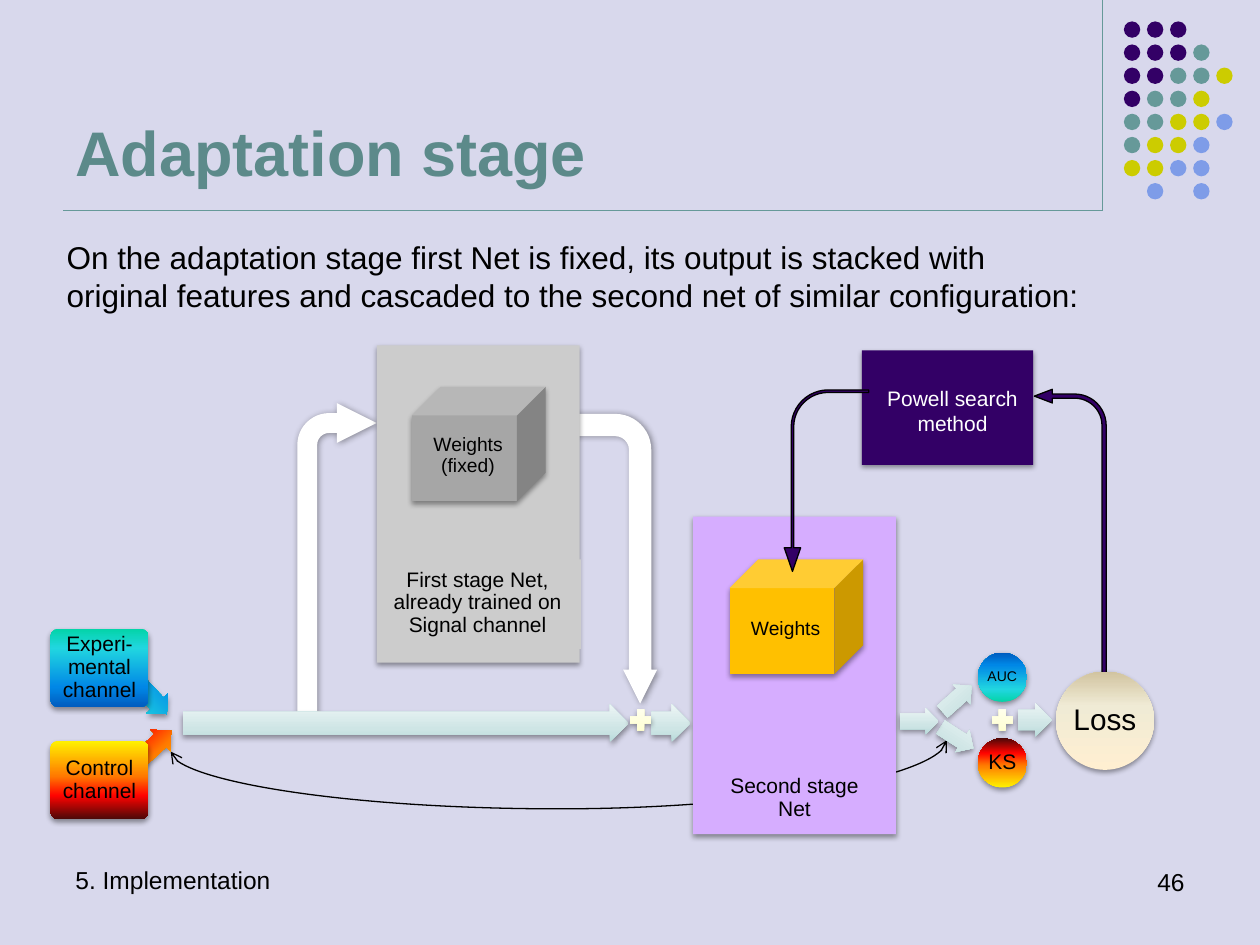
from dataclasses import dataclass

from lxml import etree
from pptx import Presentation
from pptx.dml.color import RGBColor
from pptx.enum.shapes import MSO_CONNECTOR, MSO_SHAPE
from pptx.enum.text import MSO_ANCHOR, PP_ALIGN
from pptx.oxml.ns import qn
from pptx.util import Inches, Pt

LINE, CURVE = MSO_CONNECTOR.STRAIGHT, MSO_CONNECTOR.CURVE
RECT, ROUND, OVAL = MSO_SHAPE.RECTANGLE, MSO_SHAPE.ROUNDED_RECTANGLE, MSO_SHAPE.OVAL
CUBE, PLUS, BENT = MSO_SHAPE.CUBE, MSO_SHAPE.MATH_PLUS, MSO_SHAPE.BENT_ARROW
RIGHT, LEFT = MSO_SHAPE.RIGHT_ARROW, MSO_SHAPE.LEFT_ARROW
TOP, MIDDLE, BOTTOM = MSO_ANCHOR.TOP, MSO_ANCHOR.MIDDLE, MSO_ANCHOR.BOTTOM
START, CENTER, END = PP_ALIGN.LEFT, PP_ALIGN.CENTER, PP_ALIGN.RIGHT


@dataclass(frozen=True)
class Theme:
    font: str = "Arial"
    back: str = "D8D8EC"
    title: str = "5C8A8A"
    ink: str = "000000"
    white: str = "FFFFFF"
    plum: str = "330066"
    teal: str = "669999"
    lime: str = "CCCC00"
    blue: str = "7E9CE8"
    gray: str = "CCCCCC"
    steel: str = "A6A6A6"
    lilac: str = "D6ADFF"
    gold: str = "FFC000"
    # Gradients as (percent, colour) stops
    mist: tuple = ((0, "B9DBDB"), (35, "CEE5E5"), (100, "ECF5F5"))
    cream: tuple = ((0, "FFFFCC"), (35, "FFFFDA"), (100, "FFFFF1"))
    sand: tuple = ((0, "FFEFD1"), (65, "F0EBD5"), (100, "D1C39F"))
    sea: tuple = ((0, "03D4A8"), (25, "21D6E0"), (75, "0087E6"), (100, "005CBF"))
    fire: tuple = ((0, "FFF200"), (45, "FF7A00"), (70, "FF0300"), (100, "4D0808"))
    # Shadows as opacity %, blur pt, distance pt, angle
    soft: tuple = (38, 3.1, 1.6, 90)
    # Type sizes
    head: int = 36
    body: int = 18
    big: int = 17
    foot: int = 14
    label: int = 12
    small: int = 11
    tiny: int = 8


T = Theme()


def rgb(code):
    return RGBColor.from_string(code)


def place(box, x, y, w, h):
    """Absolute lengths of a part whose offset is counted from box."""
    return [Inches(v) for v in (box[0] + x, box[1] + y, w, h)]


def cast(shape, shade):
    """Outer shadow."""
    alpha, blur, dist, ang = shade
    effect = shape._element.spPr.find(qn("a:effectLst"))
    outer = etree.SubElement(effect, qn("a:outerShdw"), blurRad=str(Pt(blur)),
                             dist=str(Pt(dist)), dir=str(ang * 60000), rotWithShape="0")
    color = etree.SubElement(outer, qn("a:srgbClr"), val=T.ink)
    etree.SubElement(color, qn("a:alpha"), val=str(alpha * 1000))


def blend(shape, stops, ang):
    """Linear gradient; ang runs clockwise."""
    shape.fill.gradient()
    shape.fill.gradient_angle = 360 - ang
    bag = shape._element.spPr.find(qn("a:gradFill")).find(qn("a:gsLst"))
    for old in list(bag):
        bag.remove(old)
    for pos, code in stops:
        stop = etree.SubElement(bag, qn("a:gs"), pos=str(pos * 1000))
        etree.SubElement(stop, qn("a:srgbClr"), val=code)


def draw(slide, kind, spot, fill=None, ang=270, shade=T.soft, adj=(), rot=0,
         flip=False, edge=None):
    shape = slide.shapes.add_shape(kind, *spot)
    shape.shadow.inherit = False
    for i, value in enumerate(adj):
        shape.adjustments[i] = value
    shape.rotation = rot
    if flip:
        shape._element.spPr.find(qn("a:xfrm")).set("flipH", "1")
    if fill is None:
        shape.fill.background()
    elif isinstance(fill, str):
        shape.fill.solid()
        shape.fill.fore_color.rgb = rgb(fill)
    else:
        blend(shape, fill, ang)
    if edge:
        shape.line.color.rgb = rgb(edge)
        shape.line.width = Pt(0.75)
    else:
        shape.line.fill.background()
    if shade:
        cast(shape, shade)
    return shape


def write(shape, text, size, color=T.ink, align=CENTER, anchor=MIDDLE,
          inset=(0.1, 0.05, 0.1, 0.05), space=None, bold=False):
    frame = shape.text_frame
    frame.text = text
    frame.word_wrap = True
    frame.vertical_anchor = anchor
    (frame.margin_left, frame.margin_top,
     frame.margin_right, frame.margin_bottom) = map(Inches, inset)
    para = frame.paragraphs[0]
    para.alignment, para.line_spacing = align, space
    font = para.runs[0].font
    font.name, font.size, font.bold = T.font, Pt(size), bold
    font.color.rgb = rgb(color)


def note(slide, spot, text, size, **style):
    write(slide.shapes.add_textbox(*spot), text, size, **style)


def link(slide, kind, x1, y1, x2, y2, color):
    wire = slide.shapes.add_connector(kind, *map(Inches, (x1, y1, x2, y2)))
    wire.line.color.rgb = rgb(color)
    wire.line.width = Pt(0.75)
    etree.SubElement(wire._element.spPr, qn("a:effectLst"))
    return wire


def arrow(slide, spot, fill=T.mist, kind=RIGHT, **style):
    draw(slide, kind, spot, fill, adj=(0.6, 0.5), **style)


def frame_page(slide, box):
    """Rules, dot grid, title, lead text and footer."""
    x, y = box[:2]
    link(slide, LINE, x + 8.75, y, x + 8.75, y + 1.67, T.teal)
    link(slide, LINE, x + 0.5, y + 1.67, x + 8.75, y + 1.67, T.teal)
    tones = {"P": T.plum, "T": T.teal, "Y": T.lime, "B": T.blue}
    rows = ("PPP", "PPPT", "PPTTY", "PTTY", "TTYYB", "TYYB", "YYBB", " B B")
    step = 0.55 / 3
    for r, row in enumerate(rows):
        for c, key in enumerate(row):
            if key in tones:
                spot = place(box, 8.92 + c * step, 0.17 + r * step, 0.13, 0.13)
                draw(slide, OVAL, spot, tones[key], shade=None)
    note(slide, place(box, 0.5, 0.13, 8.25, 1.42), "Adaptation stage", T.head,
         color=T.title, align=START, anchor=BOTTOM, bold=True)
    note(slide, place(box, 0.43, 1.84, 8.35, 0.71),
         "On the adaptation stage first Net is fixed, its output is stacked with "
         "original features and cascaded to the second net of similar configuration:",
         T.body, align=START, anchor=TOP)
    note(slide, place(box, 0.5, 6.82, 5.29, 0.5), "5. Implementation", T.foot,
         align=START, anchor=TOP)
    note(slide, place(box, 7.17, 6.83, 2.33, 0.5), "46", T.foot, align=END, anchor=TOP)


def sweep(slide, box):
    """Curve under the second net, with an arrowhead at each end."""
    wire = link(slide, CURVE, 0, 0, 1, 1, T.ink)
    wire.left, wire.top, wire.width, wire.height = place(box, 2.99, -2.84, 0.09, 6.16)
    props = wire._element.spPr
    form = props.find(qn("a:xfrm"))
    for key, value in (("rot", "5400000"), ("flipH", "1"), ("flipV", "1")):
        form.set(key, value)
    guides = props.find(qn("a:prstGeom")).find(qn("a:avLst"))
    etree.SubElement(guides, qn("a:gd"), name="adj1", fmla="val -504200")
    stroke = props.find(qn("a:ln"))
    for tag in ("a:headEnd", "a:tailEnd"):
        etree.SubElement(stroke, qn(tag), type="arrow")


def flow(slide, box):
    """Main pipe with the detour through the first net."""
    draw(slide, BENT, place(box, 2.26, 0.88, 2.3, 0.71), T.white, rot=90,
         adj=(0.25, 0.19, 0.38, 0.402), shade=(40, 4, 1, 30))
    draw(slide, BENT, place(box, 0.91, 0, 0.63, 2.47), T.white,
         adj=(0.25, 0.25, 0.5, 0.402), shade=(40, 4, 1, 45))
    arrow(slide, place(box, 0, 2.39, 3.54, 0.3))
    arrow(slide, place(box, 3.72, 2.39, 0.31, 0.3))
    draw(slide, PLUS, place(box, 3.52, 2.4, 0.23, 0.23), T.cream)


def net(slide, box, fill, text, label, weights, cube, tone):
    """Net panel with its caption and cube of weights."""
    draw(slide, RECT, place(box, 0, 0, *box[2:]), fill)
    tag = draw(slide, RECT, place(box, *label), fill, shade=None)
    write(tag, text, T.label, inset=(0.07, 0, 0.1, 0.02), space=0.9)
    x, y = cube
    draw(slide, CUBE, place(box, x, y, 1.06, 0.91), tone)
    face = draw(slide, CUBE, place(box, x + 0.15, y + 0.15, 0.75, 0.64), shade=None)
    write(face, weights, T.small, inset=(0.01,) * 4, space=0.9)


def badge(slide, box, kind, fill, text, size, pad, inset, ang=270, adj=()):
    """Gradient shape with a label inset by pad."""
    w, h = box[2:]
    draw(slide, kind, place(box, 0, 0, w, h), fill, ang=ang, adj=adj)
    note(slide, place(box, pad, pad, w - 2 * pad, h - 2 * pad), text, size,
         inset=(inset,) * 4, space=0.9)


def score(slide, box):
    """Two metrics that add up to the loss."""
    x, y = box[:2]
    badge(slide, (x + 0.62, y, 0.39, 0.39), OVAL, T.sea, "AUC", T.tiny, 0.06, 0.01)
    draw(slide, PLUS, place(box, 0.7, 0.42, 0.23, 0.23), T.cream)
    badge(slide, (x + 0.62, y + 0.68, 0.39, 0.39), OVAL, T.fire, "KS", T.label, 0.06, 0.02)
    arrow(slide, place(box, 0.94, 0.4, 0.27, 0.27))
    badge(slide, (x + 1.24, y + 0.15, 0.78, 0.78), OVAL, T.sand, "Loss", T.big, 0.11, 0.02)
    for dx, dy, rot in ((0.3, 0.26, 318.3), (0.3, 0.57, 32.8), (0, 0.44, 0)):
        arrow(slide, place(box, dx, dy, 0.31, 0.21), rot=rot)


def search(slide, box):
    """Search method box."""
    draw(slide, RECT, place(box, 0, 0, *box[2:]), T.plum)
    note(slide, place(box, 0.08, 0.23, 1.28, 0.5), "Powell search method", T.label,
         color=T.white, anchor=TOP)


def loop(slide, spot, adj, rot=0):
    """Thin feedback arrow."""
    draw(slide, BENT, spot, T.plum, shade=None, adj=adj, rot=rot, flip=True, edge=T.ink)


def inputs(slide, box):
    """Two source channels and their arrows."""
    x, y = box[:2]
    channels = ((0, T.sea, "Experi-mental channel", (0.37, 0.32, 0.66, 0.23), 227.1),
                (0.89, T.fire, "Control channel", (0.35, 0.93, 0.7, 0.23), 137.5))
    for dy, fill, text, spot, rot in channels:
        arrow(slide, place(box, *spot), fill, LEFT, ang=90, rot=rot)
        badge(slide, (x, y + dy, 0.78, 0.62), ROUND, fill, text, T.label, 0.02, 0.03,
              ang=90, adj=(0.1,))


def main():
    deck = Presentation()
    deck.slide_width, deck.slide_height = Inches(10), Inches(7.5)
    slide = deck.slides.add_slide(deck.slide_layouts[6])
    slide.background.fill.solid()
    slide.background.fill.fore_color.rgb = rgb(T.back)
    page = (0, 0, 10, 7.5)
    frame_page(slide, page)
    sweep(slide, (1.4, 5.68, 6.2, 0.8))
    flow(slide, (1.45, 3.2, 4.03, 2.7))
    loop(slide, place(page, 8.21, 3.09, 0.57, 2.27), (0.058, 0.095, 0.25, 0.438))
    net(slide, (2.99, 2.74, 1.61, 2.52), T.gray,
        "First stage Net, already trained on Signal channel", (0.01, 1.7, 1.61, 0.71),
        "Weights (fixed)", (0.28, 0.33), T.steel)
    net(slide, (5.5, 4.1, 1.61, 2.52), T.lilac, "Second stage Net",
        (0.17, 2, 1.3, 0.49), "Weights", (0.29, 0.34), T.gold)
    score(slide, (7.14, 5.18, 2.02, 1.07))
    search(slide, (6.84, 2.78, 1.36, 0.91))
    loop(slide, place(page, 5.84, 3.48, 1.44, 0.67), (0.03, 0.097, 0.279, 0.438), rot=270)
    inputs(slide, (0.4, 4.99, 1.05, 1.51))
    deck.save("out.pptx")


if __name__ == "__main__":
    main()
